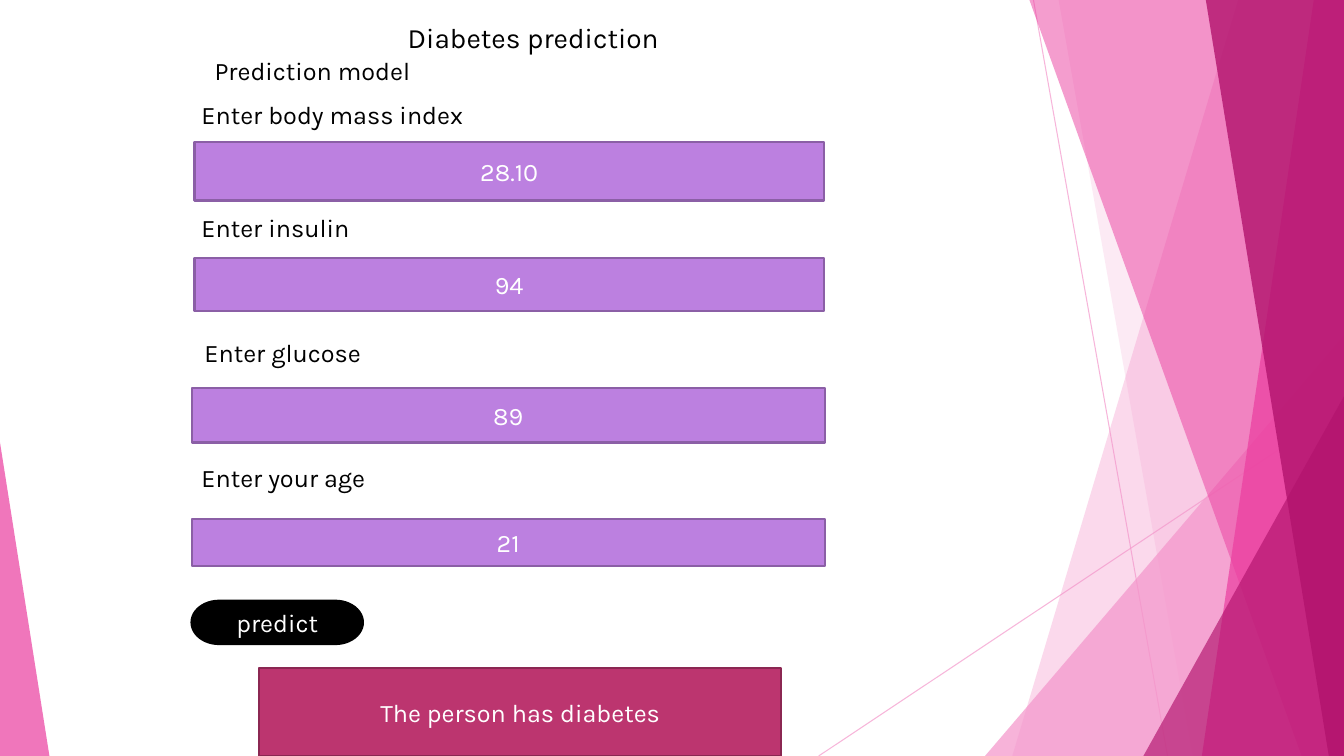
"""Build the diabetes prediction form slide."""
from dataclasses import dataclass

from lxml import etree
from pptx import Presentation
from pptx.dml.color import RGBColor
from pptx.enum.shapes import MSO_CONNECTOR, MSO_SHAPE
from pptx.enum.text import MSO_ANCHOR, MSO_AUTO_SIZE, PP_ALIGN
from pptx.oxml.ns import qn
from pptx.shapes.autoshape import Shape
from pptx.slide import Slide
from pptx.util import Inches, Pt

RECTANGLE = MSO_SHAPE.RECTANGLE
TERMINATOR = MSO_SHAPE.FLOWCHART_TERMINATOR
TRIANGLE = MSO_SHAPE.ISOSCELES_TRIANGLE
STRAIGHT = MSO_CONNECTOR.STRAIGHT
LEFT, CENTER = PP_ALIGN.LEFT, PP_ALIGN.CENTER
TOP, MIDDLE = MSO_ANCHOR.TOP, MSO_ANCHOR.MIDDLE
FIT_SHAPE = MSO_AUTO_SIZE.SHAPE_TO_FIT_TEXT

WIDTH, HEIGHT = 13.33, 7.5
FONT = "Karla"
BLACK, WHITE = "000000", "FFFFFF"
PALE_PINK, PINK, MAGENTA = "F496CB", "EB3D9F", "B2136D"
LILAC, PURPLE = "BC80E0", "8B5FA6"
ROSE, DARK_ROSE = "BC356F", "8B2752"


@dataclass
class Ray:
    """A thin line of the background."""
    start: tuple[float, float]
    end: tuple[float, float]


@dataclass
class Facet:
    """A full-height pane with a slanted left edge, ending at the right edge."""
    top_x: float
    bottom_x: float
    color: str
    opacity: int


@dataclass
class Wedge:
    """A right triangle standing on the bottom edge."""
    left: float
    width: float
    height: float
    tip: float
    color: str
    opacity: int


@dataclass
class Label:
    """A line of plain text."""
    text: str
    left: float
    top: float
    width: float


@dataclass
class Panel:
    """A filled, outlined shape with centred text."""
    text: str
    left: float
    top: float
    width: float
    height: float
    fill: str = LILAC
    line: str = PURPLE
    kind: MSO_SHAPE = RECTANGLE


RAYS = [Ray((10.25, 0), (11.58, HEIGHT)), Ray((WIDTH, 4.03), (8.12, HEIGHT))]
BACKDROP = [
    Facet(12.28, 10.04, PALE_PINK, 36),
    Facet(10.5, 11.83, PALE_PINK, 20),
    Wedge(9.77, 3.56, 4.17, 1, PALE_PINK, 72),
    Facet(10.21, 12.91, PINK, 50),
    Facet(13.03, 11.92, PINK, 70),
    Facet(11.96, 13.18, MAGENTA, 80),
    Wedge(11.34, 1.99, 3.57, 1, MAGENTA, 66),
    Wedge(0, 0.49, 3.11, 0, PINK, 70),
]
FORM = [
    Label("Prediction model", 2.03, 0.5, 2.84),
    Label("Enter body mass index", 1.9, 0.94, 4.19),
    Panel("28.10", 1.93, 1.41, 6.24, 0.58),
    Label("Enter insulin", 1.9, 2.06, 3.09),
    Panel("94", 1.93, 2.56, 6.24, 0.53),
    Label("Enter glucose", 1.93, 3.3, 2.3),
    Panel("89", 1.9, 3.85, 6.28, 0.54),
    Label("Enter your age", 1.9, 4.54, 1.93),
    Panel("21", 1.9, 5.15, 6.28, 0.47),
    Panel("predict", 1.9, 5.96, 1.7, 0.43, BLACK, BLACK, TERMINATOR),
    Panel("The person has diabetes", 2.57, 6.63, 5.18, 0.87, ROSE, DARK_ROSE),
]


def rgb(color: str) -> RGBColor:
    """Turn a hex string into a colour."""
    return RGBColor.from_string(color)


def set_opacity(properties: etree.ElementBase, percent: int) -> None:
    """Make the colours in the shape properties translucent."""
    for color in properties.iter(qn("a:srgbClr")):
        etree.SubElement(color, qn("a:alpha")).set("val", str(percent * 1000))


def write(shape: Shape, text: str, size: int, color: str,
          align: PP_ALIGN, anchor: MSO_ANCHOR) -> None:
    """Write one formatted line into the shape."""
    frame = shape.text_frame
    frame.word_wrap = True
    frame.vertical_anchor = anchor
    para = frame.paragraphs[0]
    para.alignment = align
    span = para.add_run()
    span.text = text
    span.font.name = FONT
    span.font.size = Pt(size)
    span.font.color.rgb = rgb(color)


def draw_ray(page: Slide, ray: Ray) -> None:
    """Draw a thin translucent line."""
    line = page.shapes.add_connector(
        STRAIGHT, *map(Inches, ray.start), *map(Inches, ray.end))
    line.line.color.rgb = rgb(PALE_PINK)
    line.line.width = Pt(0.75)
    properties = line.element.spPr
    set_opacity(properties, 70)
    etree.SubElement(properties, qn("a:effectLst"))


def draw_backdrop(page: Slide, piece: Facet | Wedge) -> None:
    """Draw one translucent pane of the background."""
    if isinstance(piece, Facet):
        corners = [(WIDTH, 0), (WIDTH, HEIGHT), (piece.bottom_x, HEIGHT)]
        builder = page.shapes.build_freeform(Inches(piece.top_x), 0)
        builder.add_line_segments([(Inches(x), Inches(y)) for x, y in corners])
        shape = builder.convert_to_shape()
    else:
        shape = page.shapes.add_shape(
            TRIANGLE, Inches(piece.left), Inches(HEIGHT - piece.height),
            Inches(piece.width), Inches(piece.height))
        shape.adjustments[0] = piece.tip
    shape.shadow.inherit = False
    shape.fill.solid()
    shape.fill.fore_color.rgb = rgb(piece.color)
    shape.line.fill.background()
    set_opacity(shape.element.spPr, piece.opacity)


def draw_title(page: Slide) -> None:
    """Place and fill the title placeholder."""
    title = page.shapes.title
    title.left, title.top = Inches(2.03), Inches(0.15)
    title.width, title.height = Inches(6.52), Inches(0.44)
    write(title, "Diabetes prediction", 20, BLACK, CENTER, TOP)
    title.text_frame.auto_size = FIT_SHAPE


def draw_label(page: Slide, label: Label) -> None:
    """Draw a field label."""
    box = page.shapes.add_textbox(
        Inches(label.left), Inches(label.top), Inches(label.width), Inches(0.4))
    write(box, label.text, 18, BLACK, LEFT, TOP)
    box.text_frame.auto_size = FIT_SHAPE


def draw_panel(page: Slide, panel: Panel) -> None:
    """Draw a field, the button or the result."""
    shape = page.shapes.add_shape(
        panel.kind, Inches(panel.left), Inches(panel.top),
        Inches(panel.width), Inches(panel.height))
    shape.shadow.inherit = False
    shape.fill.solid()
    shape.fill.fore_color.rgb = rgb(panel.fill)
    shape.line.color.rgb = rgb(panel.line)
    shape.line.width = Pt(1.5)
    write(shape, panel.text, 18, WHITE, CENTER, MIDDLE)


def main() -> None:
    """Build and save the deck."""
    deck = Presentation()
    deck.slide_width, deck.slide_height = Inches(WIDTH), Inches(HEIGHT)
    page = deck.slides.add_slide(deck.slide_layouts.get_by_name("Title Only"))
    for ray in RAYS:
        draw_ray(page, ray)
    for piece in BACKDROP:
        draw_backdrop(page, piece)
    draw_title(page)
    for item in FORM:
        if isinstance(item, Label):
            draw_label(page, item)
        else:
            draw_panel(page, item)
    deck.save("out.pptx")


if __name__ == "__main__":
    main()
